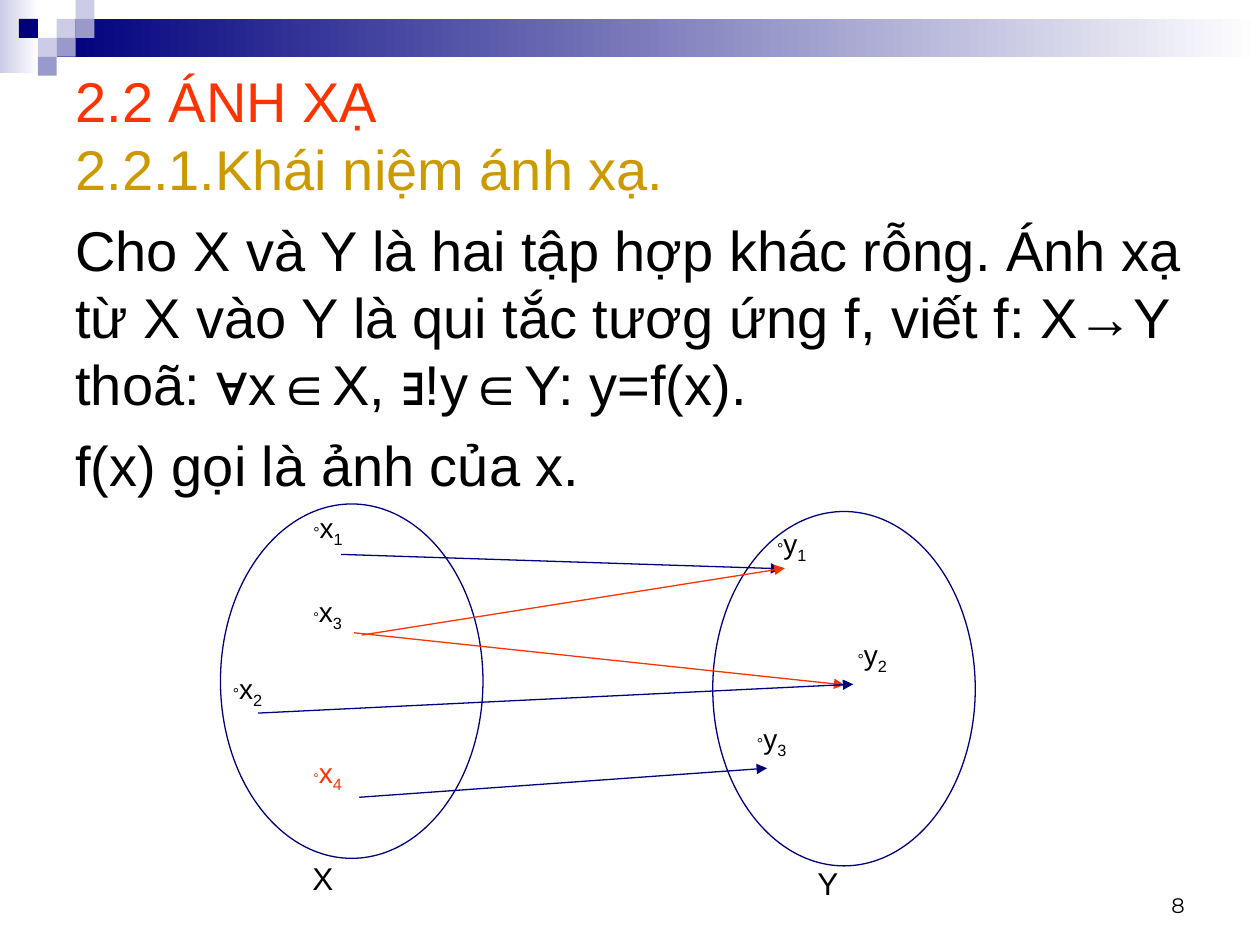
from lxml import etree
from pptx import Presentation
from pptx.dml.color import RGBColor
from pptx.enum.shapes import MSO_CONNECTOR, MSO_SHAPE
from pptx.enum.text import MSO_ANCHOR, PP_ALIGN
from pptx.oxml.ns import qn
from pptx.util import Pt

RECTANGLE = MSO_SHAPE.RECTANGLE
OVAL = MSO_SHAPE.OVAL
STRAIGHT = MSO_CONNECTOR.STRAIGHT
TOP, BOTTOM = MSO_ANCHOR.TOP, MSO_ANCHOR.BOTTOM
LEFT, RIGHT = PP_ALIGN.LEFT, PP_ALIGN.RIGHT

COLORS = {
    "navy": "00007D",
    "mid": "9999CC",
    "pale": "CCCCE6",
    "white": "FFFFFF",
    "red": "FF3300",
    "gold": "CC9900",
    "black": "000000",
}


def rgb(name):
    return RGBColor.from_string(COLORS[name])


def add_shape(page, kind, box):
    shape = page.shapes.add_shape(kind, *map(Pt, box))
    shape.shadow.inherit = False
    return shape


def add_block(page, box, start, end=None):
    block = add_shape(page, RECTANGLE, box)
    block.line.fill.background()
    if end:
        block.fill.gradient()
        block.fill.gradient_angle = 0
        for stop, color, position in zip(block.fill.gradient_stops, (start, end), (0, 1)):
            stop.color.rgb = rgb(color)
            stop.position = position
    else:
        block.fill.solid()
        block.fill.fore_color.rgb = rgb(start)


def add_text(page, box, anchor=TOP, wrap=True):
    frame = page.shapes.add_textbox(*map(Pt, box)).text_frame
    frame.word_wrap = wrap
    frame.vertical_anchor = anchor
    return frame


def style(para, size, color="black", face="Arial", align=LEFT):
    para.font.size = Pt(size)
    para.font.name = face
    para.font.color.rgb = rgb(color)
    para.alignment = align


def add_line(page, text, box, size, **options):
    para = add_text(page, box, options.pop("anchor", TOP)).paragraphs[0]
    para.text = text
    style(para, size, **options)


def draw_banner(page, box):
    left, top, width, height = box
    cell = 10.8
    add_block(page, (left, top, 22.3, 41.8), "pale", "white")
    add_block(page, (left + 3 * cell, top + cell, width - 3 * cell, 2 * cell), "navy", "white")
    tiles = [(3, 1, "pale"), (4, 0, "pale"), (4, 1, "mid"), (2, 2, "pale"),
             (1, 1, "navy"), (3, 2, "mid"), (2, 3, "mid")]
    for column, row, color in tiles:
        add_block(page, (left + column * cell, top + row * cell, cell, cell), color)


def write_body(page, box):
    frame = add_text(page, box)
    lines = [
        ("2.2 ÁNH XẠ", "red", 0.8),
        ("2.2.1.Khái niệm ánh xạ.", "gold", 0.8),
        ("Cho X và Y là hai tập hợp khác rỗng. Ánh xạ từ X vào Y là qui tắc tươg ứng f, "
         "viết f: X→Y thoã: ∀x∈X, ∃!y∈Y: y=f(x).", "black", 1.0),
        ("f(x) gọi là ảnh của x.", "black", 1.0),
    ]
    for index, (text, color, spacing) in enumerate(lines):
        para = frame.add_paragraph() if index else frame.paragraphs[0]
        para.text = text
        para.space_before = Pt(8)
        para.line_spacing = spacing
        style(para, 32, color)


def add_element(page, left, top, letter, index, dot_size=9, color="black"):
    para = add_text(page, (left, top, 81, 29.5)).paragraphs[0]
    style(para, 16, color)
    for text in ("°", letter, index):
        span = para.add_run()
        span.text = text
        if text == "°":
            span.font.size = Pt(dot_size)
        elif text == index:
            span.font._element.set("baseline", "-25000")


def add_arrow(page, start, end, color):
    arrow = page.shapes.add_connector(STRAIGHT, *map(Pt, start + end))
    arrow.line.color.rgb = rgb(color)
    arrow.line.width = Pt(0.75)
    etree.SubElement(arrow.line._get_or_add_ln(), qn("a:tailEnd"), type="triangle")
    etree.SubElement(arrow._element.spPr, qn("a:effectLst"))


def draw_mapping(page, box):
    left, top, width, height = box
    oval_width, oval_height = 150, 202.5
    for x, y in ((left, top), (left + width - oval_width, top + height - oval_height)):
        oval = add_shape(page, OVAL, (x, y, oval_width, oval_height))
        oval.fill.background()
        oval.line.color.rgb = rgb("navy")
        oval.line.width = Pt(0.75)

    elements = [
        (46, 0, "x", "1", 9, "black"),
        (0, 92.2, "x", "2", 9, "black"),
        (46, 48.2, "x", "3", 8, "black"),
        (46, 140.4, "x", "4", 8, "red"),
        (311, 9.5, "y", "1", 9, "black"),
        (357, 73, "y", "2", 9, "black"),
        (299.5, 121, "y", "3", 9, "black"),
    ]
    for x, y, *details in elements:
        add_element(page, left + x, top + y, *details)

    for name, x, y in (("X", 45.5, 199.5), ("Y", 334, 202.3)):
        add_line(page, name, (left + x, top + y, 81, 28.8), 18)

    arrows = [
        (69, 28.8, 320.4, 37, "navy"),
        (76.3, 73.6, 356.5, 103.4, "red"),
        (21.5, 119.5, 361.6, 103, "navy"),
        (79.3, 167.6, 312.3, 151, "navy"),
        (80.7, 74.9, 322.5, 36.7, "red"),
    ]
    for x1, y1, x2, y2, color in arrows:
        add_arrow(page, (left + x1, top + y1), (left + x2, top + y2), color)


def main():
    deck = Presentation()
    deck.slide_width, deck.slide_height = Pt(720), Pt(540)
    page = deck.slides.add_slide(deck.slide_layouts[6])
    draw_banner(page, (0, 0, 720, 43.2))
    add_line(page, "8", (516, 492, 168, 36), 12, face="Montserrat", align=RIGHT, anchor=BOTTOM)
    write_body(page, (36, 42, 648, 252))
    draw_mapping(page, (126, 288, 431.3, 206.8))
    deck.save("out.pptx")


if __name__ == "__main__":
    main()
